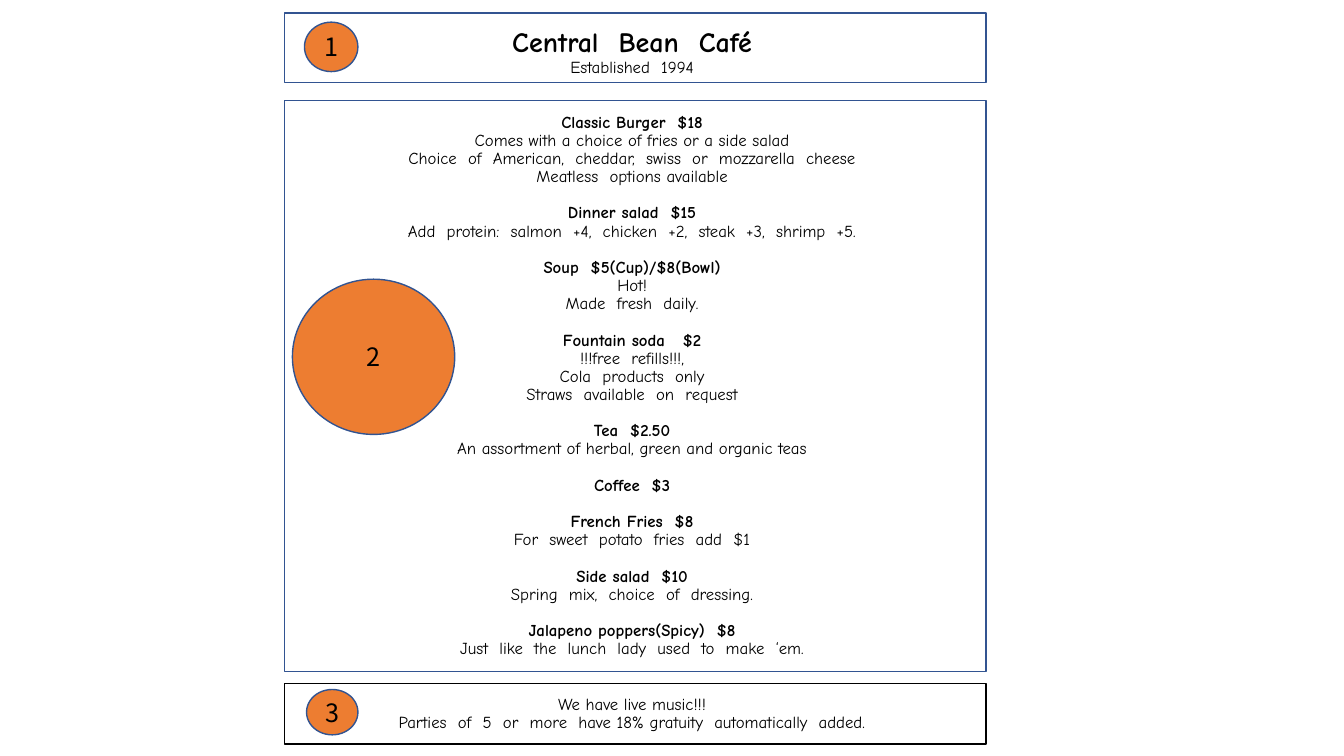
import dataclasses

import pptx
import pptx.dml.color
import pptx.enum.shapes
import pptx.enum.text
import pptx.util

RGB = pptx.dml.color.RGBColor
KIND = pptx.enum.shapes.MSO_SHAPE
BLUE = RGB(0x32, 0x54, 0x91)
ORANGE = RGB(0xED, 0x7D, 0x31)
BLACK = RGB(0, 0, 0)
WHITE = RGB(255, 255, 255)

CELL = pptx.util.Inches(0.1)  # grid of 133.3 columns by 75 rows
LEFT, WIDE = 28.2, 69.6  # columns shared by the panels
SHIFT = 0.6  # extra right inset of panel text, in columns
GAP = 13  # points between dishes: one line


@dataclasses.dataclass(frozen=True)
class Line:
    text: str
    bold: bool = False
    size: float = 12
    gap: float = 0
    font: str = "Comic Neue"
    pitch: float = 0.9


@dataclasses.dataclass(frozen=True)
class Dish:
    name: str
    notes: tuple[str, ...] = ()


@dataclasses.dataclass(frozen=True)
class Panel:
    row: float
    high: float
    edge: RGB
    lines: list[Line]
    drop: float = 0  # top inset in rows


@dataclasses.dataclass(frozen=True)
class Badge:
    label: str
    col: float
    row: float
    wide: float
    high: float


DISHES = [
    Dish("Classic Burger  $18", (
        "Comes with a choice of fries or a side salad",
        "Choice  of  American,  cheddar,  swiss  or  mozzarella  cheese",
        "Meatless  options available")),
    Dish("Dinner salad  $15", (
        "Add  protein:  salmon  +4,  chicken  +2,  steak  +3,  shrimp  +5.",)),
    Dish("Soup  $5(Cup)/$8(Bowl)", ("Hot!", "Made  fresh  daily.")),
    Dish("Fountain soda   $2", (
        "!!!free  refills!!!,",
        "Cola  products  only",
        "Straws  available  on  request")),
    Dish("Tea  $2.50", ("An assortment of herbal, green and organic teas",)),
    Dish("Coffee  $3"),
    Dish("French Fries  $8", ("For  sweet  potato  fries  add  $1",)),
    Dish("Side salad  $10", ("Spring  mix,  choice  of  dressing.",)),
    Dish("Jalapeno poppers(Spicy)  $8", (
        "Just  like  the  lunch  lady  used  to  make  ‘em.",)),
]


def menu(dishes: list[Dish]) -> list[Line]:
    lines: list[Line] = []
    for dish in dishes:
        lines.append(Line(dish.name, bold=True, gap=GAP if lines else 0))
        lines += [Line(note) for note in dish.notes]
    return lines


PANELS = [
    Panel(1.3, 6.9, BLUE, [
        Line("Central  Bean  Café", bold=True, size=20),
        Line("Established  1994")], drop=1),
    Panel(10, 56.6, BLUE, menu(DISHES)),
    Panel(67.8, 6, BLACK, [
        Line("We have live music!!!"),
        Line("Parties  of  5  or  more  have 18% gratuity  automatically  added.")]),
]

BADGES = [
    Badge("1", 30.2, 2.2, 5.3, 4.9),
    Badge("2", 29, 27.7, 16.1, 15.4),
    Badge("3", 30.4, 68.4, 5.1, 4.5),
]


def grid(count: float) -> int:
    return round(count * CELL)


def draw(slide, kind: KIND, box: tuple[float, ...], fill: RGB, edge: RGB):
    shape = slide.shapes.add_shape(kind, *map(grid, box))
    shape.shadow.inherit = False
    shape.fill.solid()
    shape.fill.fore_color.rgb = fill
    shape.line.color.rgb = edge
    shape.line.width = pptx.util.Pt(1)
    return shape


def write(shape, lines: list[Line], drop: float = 0, right: float = 0) -> None:
    frame = shape.text_frame
    frame.word_wrap = True
    frame.vertical_anchor = pptx.enum.text.MSO_ANCHOR.MIDDLE
    frame.margin_left = frame.margin_bottom = 0
    frame.margin_top, frame.margin_right = grid(drop), grid(right)
    for index, line in enumerate(lines):
        para = frame.add_paragraph() if index else frame.paragraphs[0]
        para.text = line.text
        para.alignment = pptx.enum.text.PP_ALIGN.CENTER
        para.line_spacing = line.pitch
        para.space_before = pptx.util.Pt(line.gap)
        para.font.name = line.font
        para.font.size = pptx.util.Pt(line.size)
        para.font.bold = line.bold
        para.font.color.rgb = BLACK


def main() -> None:
    deck = pptx.Presentation()
    deck.slide_width = pptx.util.Inches(13.33)
    deck.slide_height = pptx.util.Inches(7.5)
    slide = deck.slides.add_slide(deck.slide_layouts[6])

    # Framed panels: header, menu, footer
    for panel in PANELS:
        box = (LEFT, panel.row, WIDE, panel.high)
        shape = draw(slide, KIND.RECTANGLE, box, WHITE, panel.edge)
        write(shape, panel.lines, panel.drop, SHIFT)

    # Numbered badges
    for badge in BADGES:
        box = (badge.col, badge.row, badge.wide, badge.high)
        shape = draw(slide, KIND.OVAL, box, ORANGE, BLUE)
        write(shape, [Line(badge.label, size=18, font="Noto Sans CJK SC", pitch=1.0)])

    deck.save("out.pptx")


if __name__ == "__main__":
    main()
